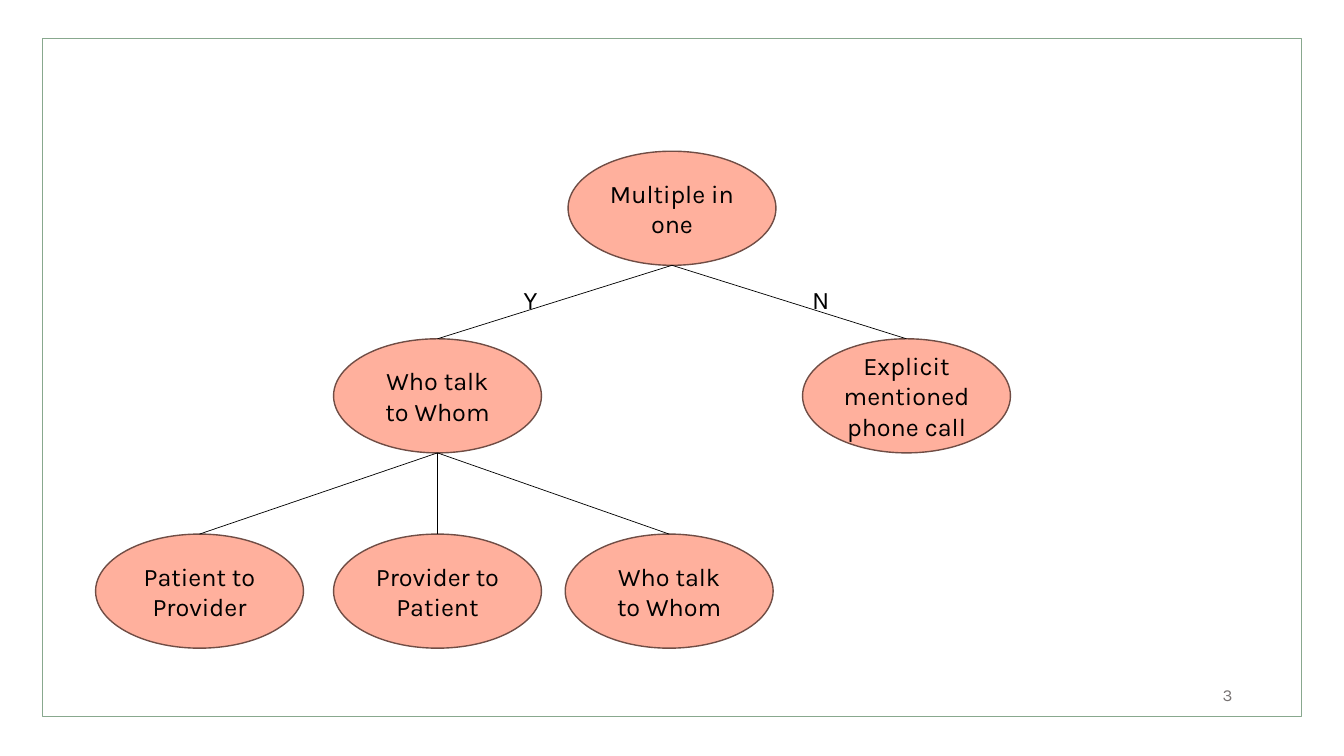
from pptx import Presentation
from pptx.dml.color import RGBColor
from pptx.enum.shapes import MSO_CONNECTOR, MSO_SHAPE
from pptx.enum.text import MSO_ANCHOR, PP_ALIGN
from pptx.util import Pt
from lxml.etree import SubElement
from pptx.oxml.ns import qn

FONT = "Karla"
NODE_WIDTH, NODE_HEIGHT = 148.5, 81.5


def color(hex_code):
    return RGBColor.from_string(hex_code)


def write(shape, text, size, hex_code, align, anchor):
    frame = shape.text_frame
    frame.word_wrap = True
    frame.vertical_anchor = anchor
    paragraph = frame.paragraphs[0]
    paragraph.text = text
    paragraph.alignment = align
    paragraph.font.name = FONT
    paragraph.font.size = Pt(size)
    paragraph.font.color.rgb = color(hex_code)


def add_label(slide, box, text, size=18, hex_code="000000",
              align=PP_ALIGN.LEFT, anchor=MSO_ANCHOR.TOP):
    label = slide.shapes.add_textbox(*map(Pt, box))
    write(label, text, size, hex_code, align, anchor)


def add_frame(slide, left, top, width, height):
    border = slide.shapes.add_shape(
        MSO_SHAPE.RECTANGLE, Pt(left), Pt(top), Pt(width), Pt(height))
    border.shadow.inherit = False
    border.fill.background()
    border.line.color.rgb = color("88A88E")
    border.line.width = Pt(1)
    # Page number in the lower right corner
    add_label(slide, (left + width - 258, top + height - 30.5, 216, 29), "3",
              12, "767171", PP_ALIGN.RIGHT, MSO_ANCHOR.MIDDLE)


def add_node(slide, center, top, text):
    node = slide.shapes.add_shape(
        MSO_SHAPE.OVAL, Pt(center - NODE_WIDTH / 2), Pt(top),
        Pt(NODE_WIDTH), Pt(NODE_HEIGHT))
    node.shadow.inherit = False
    node.fill.solid()
    node.fill.fore_color.rgb = color("FFB09D")
    node.line.color.rgb = color("704D45")
    node.line.width = Pt(1)
    write(node, text, 18, "000000", PP_ALIGN.CENTER, MSO_ANCHOR.MIDDLE)
    return node


def add_branch(slide, parent, child):
    start_x = parent.left + parent.width // 2
    end_x = child.left + child.width // 2
    branch = slide.shapes.add_connector(
        MSO_CONNECTOR.STRAIGHT, start_x, parent.top + parent.height, end_x, child.top)
    branch.end_connect(child, 0)
    branch.line.color.rgb = color("000000")
    branch.line.width = Pt(0.5)
    SubElement(branch._element.spPr, qn("a:effectLst"))


def add_tree(slide, left, top):
    # Center, top and text of each node, with the index of its parent
    nodes = [
        (411.5, 0, "Multiple in one", None),
        (244, 134, "Who talk to Whom", 0),
        (579, 134, "Explicit mentioned phone call", 0),
        (74, 273.5, "Patient to Provider", 1),
        (244, 273.5, "Provider to Patient", 1),
        (409.5, 273.5, "Who talk to Whom", 1),
    ]
    placed = []
    for center, offset, text, parent in nodes:
        node = add_node(slide, left + center, top + offset, text)
        placed.append(node)
        if parent is not None:
            add_branch(slide, placed[parent], node)

    # Answers on the two upper branches
    for offset, answer in [(298.5, "Y"), (504.5, "N")]:
        add_label(slide, (left + offset, top + 91.5, 63.5, 29), answer)


def main():
    deck = Presentation()
    deck.slide_width, deck.slide_height = Pt(960), Pt(540)
    slide = deck.slides.add_slide(deck.slide_layouts[6])
    add_frame(slide, 30.5, 27.5, 899, 484.5)
    add_tree(slide, 68.5, 108)
    deck.save("out.pptx")


if __name__ == "__main__":
    main()
